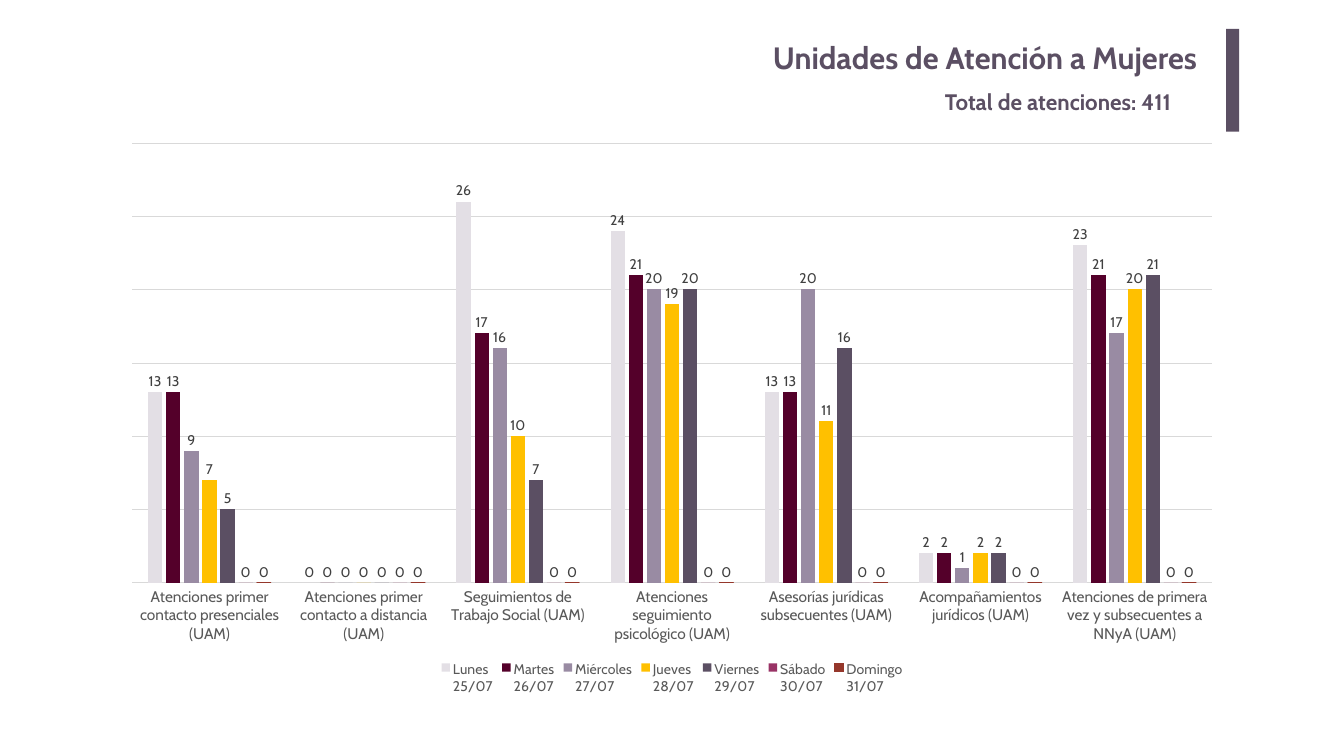
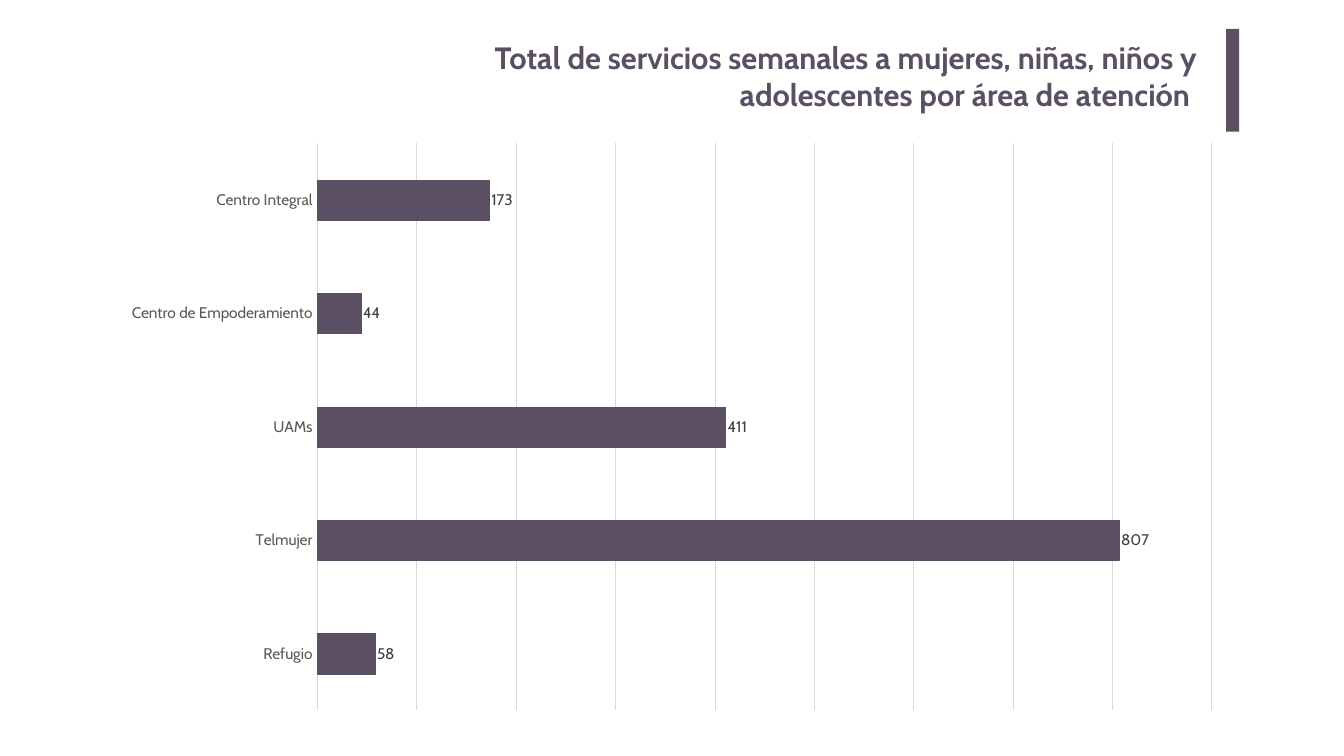
from pptx import Presentation
from pptx.chart.data import CategoryChartData
from pptx.dml.color import RGBColor
from pptx.enum.chart import XL_CHART_TYPE, XL_LABEL_POSITION, XL_LEGEND_POSITION, XL_TICK_LABEL_POSITION, XL_TICK_MARK
from pptx.enum.shapes import MSO_SHAPE
from pptx.enum.text import MSO_ANCHOR, MSO_AUTO_SIZE, PP_ALIGN
from pptx.util import Cm, Pt

COLUMNS = XL_CHART_TYPE.COLUMN_CLUSTERED
BARS = XL_CHART_TYPE.BAR_CLUSTERED
OUTSIDE = XL_LABEL_POSITION.OUTSIDE_END
BOTTOM = XL_LEGEND_POSITION.BOTTOM
LOW = XL_TICK_LABEL_POSITION.LOW
NO_TICK = XL_TICK_MARK.NONE
RECTANGLE = MSO_SHAPE.RECTANGLE
TOP = MSO_ANCHOR.TOP
NO_FIT = MSO_AUTO_SIZE.NONE
LEFT, RIGHT = PP_ALIGN.LEFT, PP_ALIGN.RIGHT

FONT = "Cabin"
COLORS = {
    "plum": "5B4F63", "mist": "E3DFE5", "wine": "54002A", "mauve": "998BA3",
    "gold": "FFC000", "magenta": "993366", "brick": "95372B",
    "grid": "D9D9D9", "axis": "595959", "label": "404040",
}

UNIT_SERVICES = [
    "Atenciones primer contacto presenciales (UAM)",
    "Atenciones primer contacto a distancia (UAM)",
    "Seguimientos de Trabajo Social (UAM)",
    "Atenciones seguimiento psicológico (UAM)",
    "Asesorías jurídicas subsecuentes (UAM)",
    "Acompañamientos jurídicos (UAM)",
    "Atenciones de primera vez y subsecuentes a NNyA (UAM)",
]
WEEK = [
    ("Lunes\n25/07", "mist", (13, 0, 26, 24, 13, 2, 23)),
    ("Martes\n26/07", "wine", (13, 0, 17, 21, 13, 2, 21)),
    ("Miércoles\n27/07", "mauve", (9, 0, 16, 20, 20, 1, 17)),
    ("Jueves\n28/07", "gold", (7, 0, 10, 19, 11, 2, 20)),
    ("Viernes\n29/07", "plum", (5, 0, 7, 20, 16, 2, 21)),
    ("Sábado\n30/07", "magenta", (0,) * 7),
    ("Domingo\n31/07", "brick", (0,) * 7),
]
AREAS = ["Centro Integral", "Centro de Empoderamiento", "UAMs", "Telmujer", "Refugio"]
AREA_TOTALS = [("Servicios", "plum", (173, 44, 411, 807, 58))]


def rgb(name):
    return RGBColor.from_string(COLORS[name])


def apply_format(target, values):
    for name, value in values.items():
        setattr(target, name, value)


def style_font(font, size, color, bold=False):
    apply_format(font, {"name": FONT, "size": Pt(size), "bold": bold})
    font.color.rgb = rgb(color)


def style_line(line, color):
    line.color.rgb = rgb(color)
    line.width = Pt(0.75)


def write_text(shape, box, text, size, align, inset, wrap):
    left, top, width, height = box
    apply_format(shape, {"left": Cm(left), "top": Cm(top), "width": Cm(width), "height": Cm(height)})
    frame = shape.text_frame
    apply_format(frame, {
        "word_wrap": wrap, "auto_size": NO_FIT, "vertical_anchor": TOP,
        "margin_left": Cm(inset), "margin_right": Cm(inset),
        "margin_top": Cm(inset / 2), "margin_bottom": Cm(inset / 2),
    })
    para = frame.paragraphs[0]
    para.alignment = align
    span = para.add_run()
    span.text = text
    style_font(span.font, size, "plum", True)


def add_header(page, box, title):
    left, top, width, height = box
    bar_width, bar_gap = 0.66, 0.94
    bar_left = left + width - bar_width
    write_text(page.shapes.title, (left, top + 0.25, width - bar_width - bar_gap, height),
               title, 44, RIGHT, 0.51, True)
    bar = page.shapes.add_shape(RECTANGLE, Cm(bar_left), Cm(top), Cm(bar_width), Cm(height))
    bar.shadow.inherit = False
    bar.fill.solid()
    bar.fill.fore_color.rgb = rgb("plum")
    bar.line.fill.background()


def add_subtitle(page, box, text):
    shape = page.shapes.add_textbox(0, 0, 0, 0)
    write_text(shape, box, text, 32, LEFT, 0.25, False)


def add_bar_chart(page, box, kind, categories, rows, outlined, gap, overlap, label_size, top_value, step):
    data = CategoryChartData()
    data.categories = categories
    for name, _, values in rows:
        data.add_series(name, values)
    chart = page.shapes.add_chart(kind, *map(Cm, box), data).chart
    style_font(chart.font, 10, "label")
    apply_format(chart, {"has_title": False, "has_legend": len(rows) > 1})
    if chart.has_legend:
        apply_format(chart.legend, {"position": BOTTOM, "include_in_layout": False})
        style_font(chart.legend.font, 20, "axis")

    axis = chart.category_axis
    apply_format(axis, {
        "major_tick_mark": NO_TICK, "minor_tick_mark": NO_TICK,
        "tick_label_position": LOW, "reverse_order": kind == BARS,
    })
    style_font(axis.tick_labels.font, 22, "axis")
    style_line(axis.format.line, "grid")
    scale = chart.value_axis
    apply_format(scale, {
        "visible": False, "has_major_gridlines": True,
        "minimum_scale": 0, "maximum_scale": top_value, "major_unit": step,
    })
    style_line(scale.major_gridlines.format.line, "grid")

    plot = chart.plots[0]
    apply_format(plot, {"gap_width": gap, "overlap": overlap, "vary_by_categories": False})
    for series, (_, color, _) in zip(plot.series, rows):
        series.invert_if_negative = False
        series.format.fill.solid()
        series.format.fill.fore_color.rgb = rgb(color)
        if color in outlined:
            style_line(series.format.line, color)
        labels = series.data_labels
        apply_format(labels, {"show_value": True, "position": OUTSIDE})
        style_font(labels.font, label_size, "label")


def add_page(deck, title, header_left):
    page = deck.slides.add_slide(deck.slide_layouts[5])
    header_right = 62.46
    add_header(page, (header_left, 1.45, header_right - header_left, 5.18), title)
    return page


def build_units_page(deck):
    page = add_page(deck, "Unidades de Atención a Mujeres", 9.3)
    page.shapes.title.height = Cm(2.59)
    add_subtitle(page, (47.37, 4.34, 13.49, 1.63), "Total de atenciones: 411")
    add_bar_chart(page, (5.54, 6.63, 56.67, 28.55), COLUMNS, UNIT_SERVICES, WEEK,
                  {"brick"}, 219, -27, 20, 30, 5)


def build_areas_page(deck):
    page = add_page(deck, "Total de servicios semanales a mujeres, niñas, niños y "
                    "adolescentes por área de atención ", 16.66)
    add_bar_chart(page, (5.51, 6.63, 56.69, 29.77), BARS, AREAS, AREA_TOTALS,
                  {"plum"}, 182, 0, 22, 900, 100)


def main():
    deck = Presentation()
    apply_format(deck, {"slide_width": Cm(67.74), "slide_height": Cm(38.1)})
    build_units_page(deck)
    build_areas_page(deck)
    deck.save("out.pptx")


if __name__ == "__main__":
    main()
